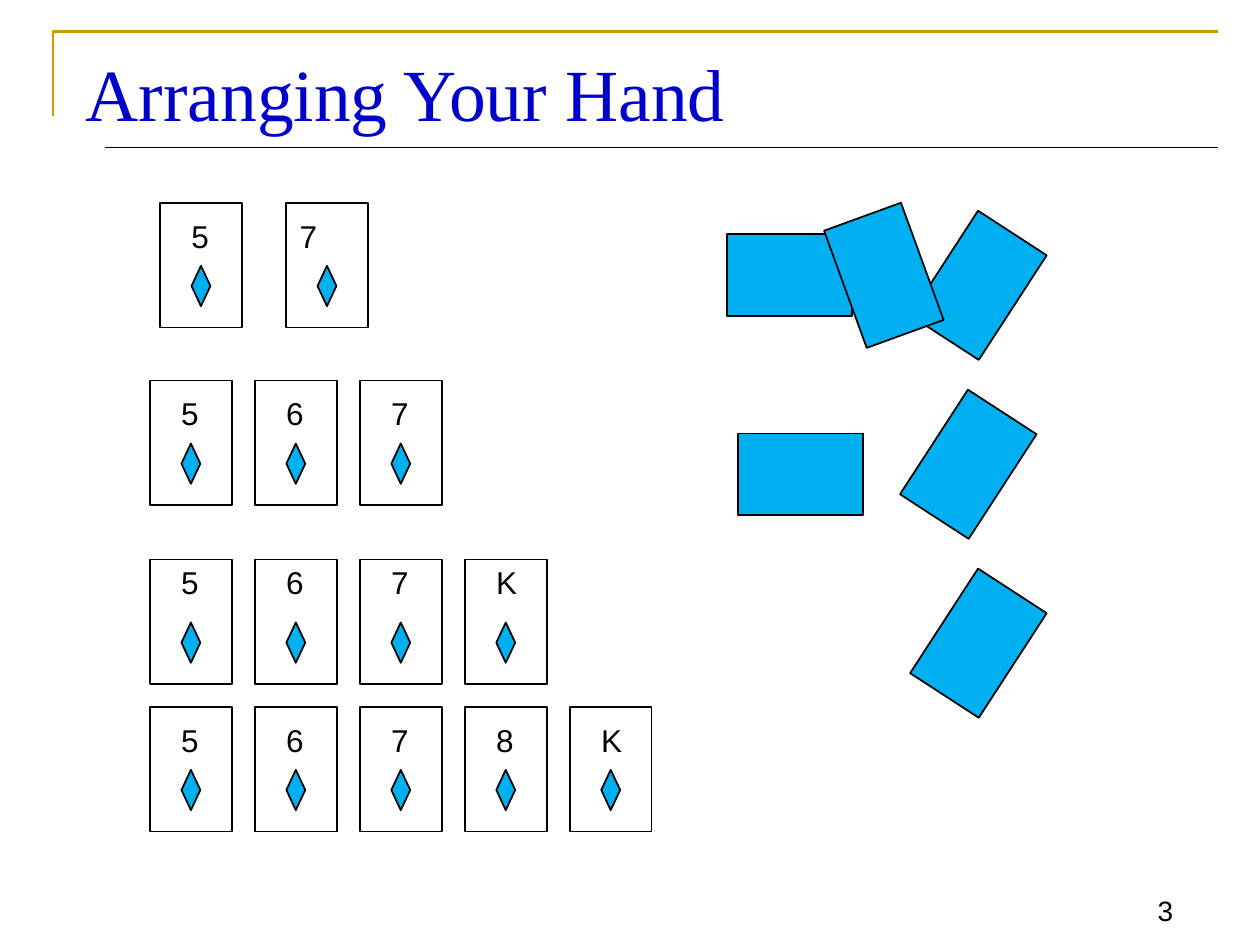
from dataclasses import dataclass

from lxml.etree import SubElement
from pptx import Presentation
from pptx.dml.color import RGBColor
from pptx.enum.shapes import MSO_CONNECTOR, MSO_SHAPE
from pptx.enum.text import MSO_ANCHOR, MSO_AUTO_SIZE, PP_ALIGN
from pptx.oxml.ns import qn
from pptx.util import Inches, Pt

BLACK = RGBColor(0x00, 0x00, 0x00)
GOLD = RGBColor(0xCC, 0x99, 0x00)
TITLE_BLUE = RGBColor(0x00, 0x00, 0xCC)
CARD_BLUE = RGBColor(0x00, 0xB0, 0xF0)

CARD_WIDTH, CARD_HEIGHT = 0.65, 0.99
DIAMOND_WIDTH, DIAMOND_HEIGHT = 0.15, 0.32


@dataclass
class Hand:
    ranks: str
    left: float
    top: float
    pitch: float = 0.833
    rank_drop: float = 0.06
    last_rank_inset: float = 0.15


@dataclass
class FaceDownCard:
    left: float
    top: float
    rotation: float = 0
    sideways: bool = False


HANDS = [
    Hand("57", 1.27, 1.61, pitch=1, last_rank_inset=0.01),
    Hand("567", 1.19, 3.02),
    Hand("567K", 1.19, 4.44, rank_drop=-0.02),
    Hand("5678K", 1.19, 5.61),
]
FACE_DOWN_CARDS = [
    FaceDownCard(5.77, 1.86, sideways=True),
    FaceDownCard(7.44, 1.77, rotation=33),
    FaceDownCard(6.69, 1.69, rotation=340),
    FaceDownCard(5.86, 3.44, sideways=True),
    FaceDownCard(7.36, 3.19, rotation=33),
    FaceDownCard(7.44, 4.61, rotation=33),
]


def add_outlined_shape(slide, kind: MSO_SHAPE, left: float, top: float,
                       width: float, height: float, fill: RGBColor | None = None):
    shape = slide.shapes.add_shape(
        kind, Inches(left), Inches(top), Inches(width), Inches(height))
    shape.shadow.inherit = False
    if fill is None:
        shape.fill.background()
    else:
        shape.fill.solid()
        shape.fill.fore_color.rgb = fill
    shape.line.color.rgb = BLACK
    shape.line.width = Pt(1)
    return shape


def format_text(shape, text: str, font_name: str, size: float, color: RGBColor,
                alignment: PP_ALIGN = PP_ALIGN.LEFT,
                anchor: MSO_ANCHOR = MSO_ANCHOR.TOP) -> None:
    text_frame = shape.text_frame
    text_frame.text = text
    text_frame.word_wrap = True
    text_frame.auto_size = MSO_AUTO_SIZE.NONE
    text_frame.vertical_anchor = anchor
    paragraph = text_frame.paragraphs[0]
    paragraph.alignment = alignment
    font = paragraph.runs[0].font
    font.name = font_name
    font.size = Pt(size)
    font.color.rgb = color


def add_label(slide, text: str, left: float, top: float, width: float,
              height: float, size: float, **layout) -> None:
    box = slide.shapes.add_textbox(
        Inches(left), Inches(top), Inches(width), Inches(height))
    format_text(box, text, "Arial", size, BLACK, **layout)


def add_title(slide) -> None:
    title = slide.shapes.title
    title.left, title.top = Inches(0.58), Inches(0.33)
    title.width, title.height = Inches(9.08), Inches(0.75)
    format_text(title, "Arranging Your Hand", "Times New Roman", 42, TITLE_BLUE)


def add_frame(slide) -> None:
    """Draw the gold corner and the rule below the title."""
    left, top, right = Inches(0.42), Inches(0.25), Inches(9.67)
    builder = slide.shapes.build_freeform(left, Inches(0.92))
    builder.add_line_segments([(left, top), (right, top)], close=False)
    corner = builder.convert_to_shape()
    corner.shadow.inherit = False
    corner.fill.background()
    corner.line.color.rgb = GOLD
    corner.line.width = Pt(1.5)

    rule = slide.shapes.add_connector(
        MSO_CONNECTOR.STRAIGHT, Inches(0.83), Inches(1.17), right, Inches(1.17))
    rule.line.color.rgb = BLACK
    rule.line.width = Pt(0.75)
    SubElement(rule._element.spPr, qn("a:effectLst"))


def add_hand(slide, hand: Hand) -> None:
    for index, rank in enumerate(hand.ranks):
        left = hand.left + index * hand.pitch
        is_last = index == len(hand.ranks) - 1
        rank_inset = hand.last_rank_inset if is_last else 0.15
        add_outlined_shape(slide, MSO_SHAPE.RECTANGLE, left, hand.top,
                           CARD_WIDTH, CARD_HEIGHT)
        add_label(slide, rank, left + rank_inset, hand.top + hand.rank_drop,
                  0.4, 0.5, 18)
        add_outlined_shape(slide, MSO_SHAPE.DIAMOND,
                           left + (CARD_WIDTH - DIAMOND_WIDTH) / 2, hand.top + 0.5,
                           DIAMOND_WIDTH, DIAMOND_HEIGHT, CARD_BLUE)


def add_face_down_card(slide, card: FaceDownCard) -> None:
    width, height = CARD_WIDTH, CARD_HEIGHT
    if card.sideways:
        width, height = height, width
    shape = add_outlined_shape(slide, MSO_SHAPE.RECTANGLE, card.left, card.top,
                               width, height, CARD_BLUE)
    shape.rotation = card.rotation


def main() -> None:
    presentation = Presentation()
    presentation.slide_width = Inches(10)
    presentation.slide_height = Inches(7.5)
    slide = presentation.slides.add_slide(
        presentation.slide_layouts.get_by_name("Title Only"))
    add_frame(slide)
    add_title(slide)
    add_label(slide, "3", 8.75, 6.92, 0.66, 0.49, 16,
              alignment=PP_ALIGN.RIGHT, anchor=MSO_ANCHOR.BOTTOM)
    for card in FACE_DOWN_CARDS:
        add_face_down_card(slide, card)
    for hand in HANDS:
        add_hand(slide, hand)
    presentation.save("out.pptx")


if __name__ == "__main__":
    main()
